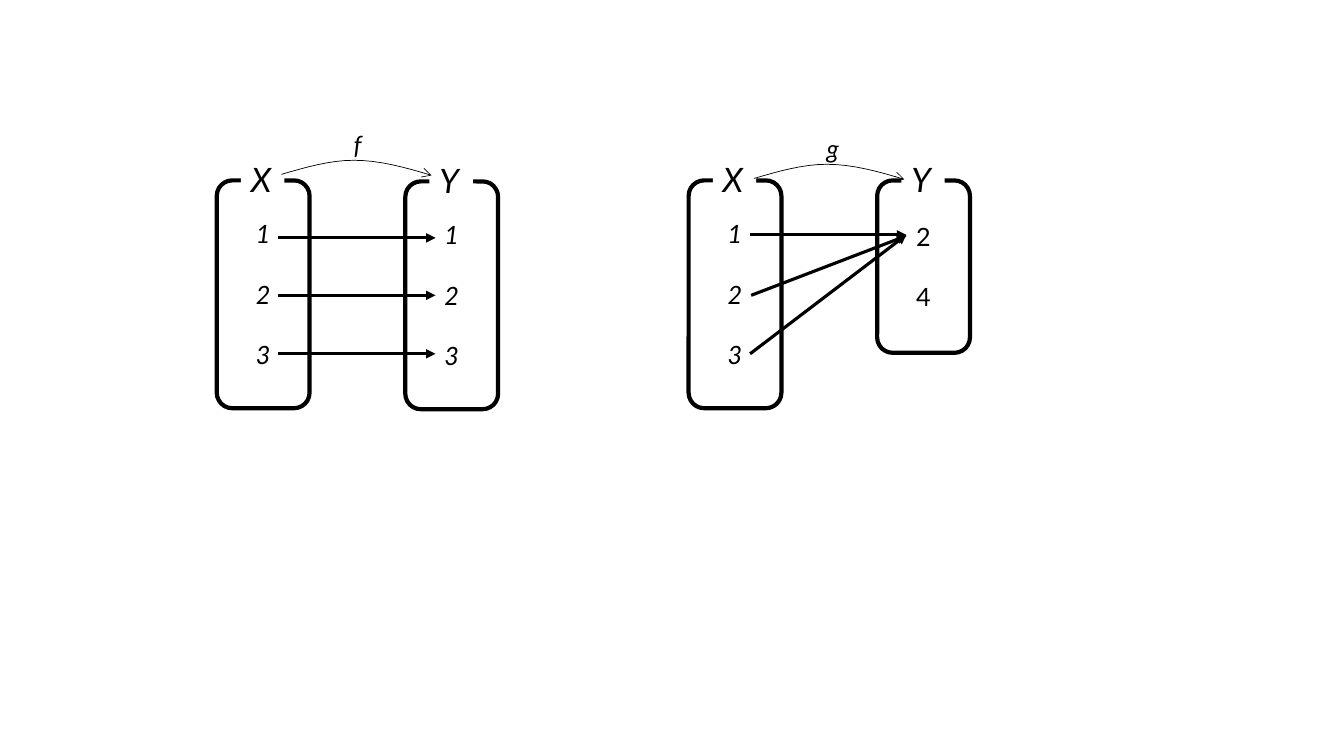
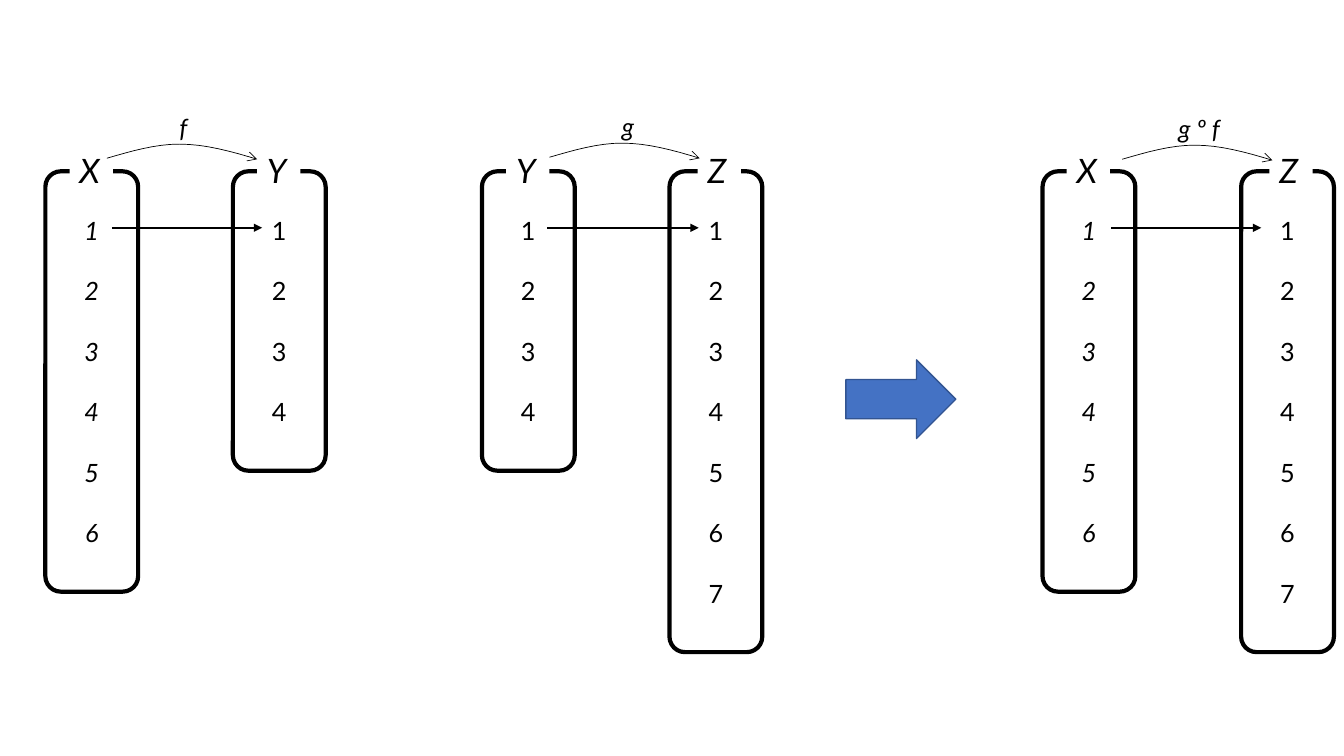
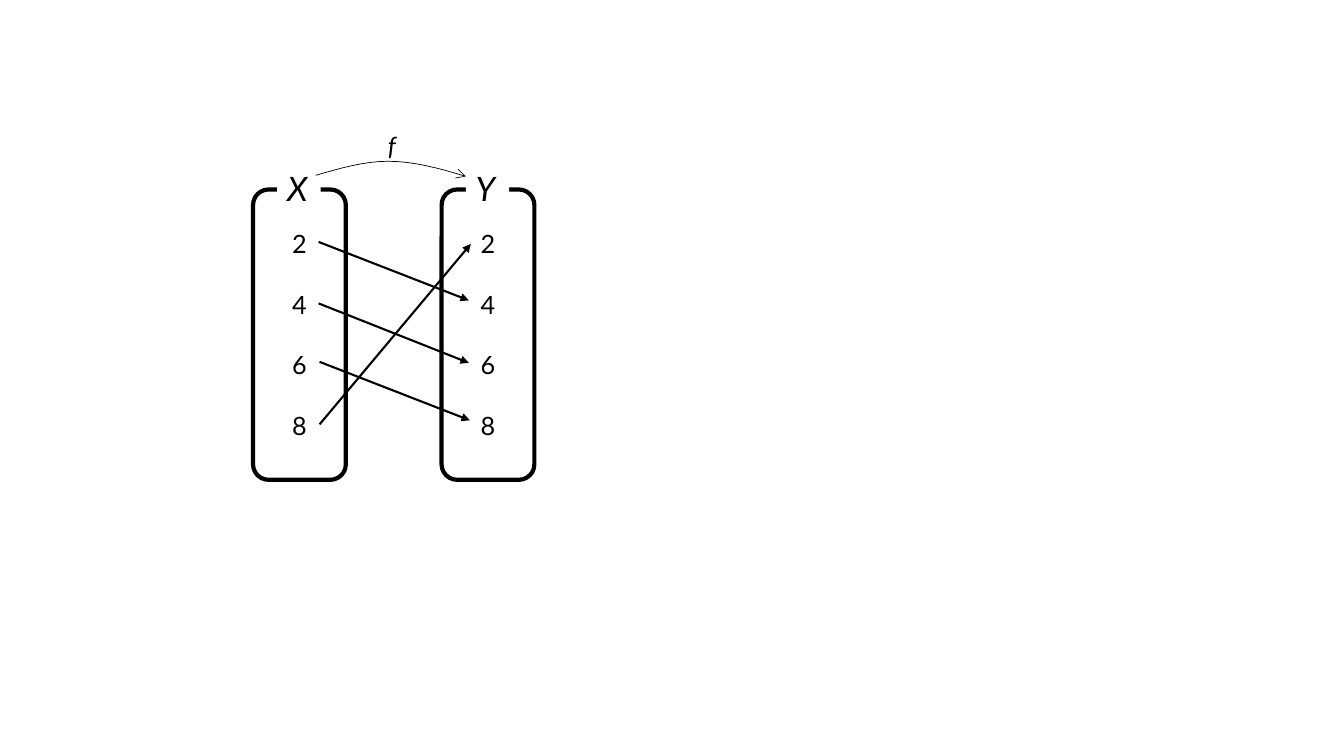
"""Build three slides of mapping diagrams between sets of numbers."""
from pptx import Presentation
from pptx import util as u
from pptx.dml.color import RGBColor
from pptx.enum import shapes, text
from pptx.oxml import ns
from lxml import etree

BLACK, WHITE, BLUE, DARK_BLUE = "000000", "FFFFFF", "4472C4", "325491"
FONT = "Lato"
SET_WIDTH = 0.92
CURVE_STEPS = 8
CURVE_PARTS = [
    [(0, 0.14), (0.24, 0.07), (0.48, 0), (0.72, 0)],
    [(0.72, 0), (0.97, 0), (1.23, 0.07), (1.49, 0.15)],
]


def write_text(shape, lines, size, italic, align, gap=0):
    """Fill a shape with one paragraph per line."""
    frame = shape.text_frame
    frame.word_wrap = True
    for index, line in enumerate(lines):
        paragraph = frame.add_paragraph() if index else frame.paragraphs[0]
        paragraph.text = line
        paragraph.alignment = align
        paragraph.space_before = u.Pt(gap if index else 0)
        paragraph.font.name = FONT
        paragraph.font.size = u.Pt(size)
        paragraph.font.italic = italic
        paragraph.font.color.rgb = RGBColor.from_string(BLACK)


def style_line(shape, colour, weight, head=None):
    """Set the outline of a shape, its arrowhead and no shadow."""
    shape.line.color.rgb = RGBColor.from_string(colour)
    shape.line.width = u.Pt(weight)
    properties = shape.element.spPr
    if head:
        outline = properties.find(ns.qn("a:ln"))
        etree.SubElement(outline, ns.qn("a:tailEnd"), type=head)
    etree.SubElement(properties, ns.qn("a:effectLst"))


diagrams = [
    {
        "sets": [
            ("X", 2.15, 1.79, 2.26, "123", True),
            ("Y", 4.02, 1.8, 2.26, "123", True),
            ("X", 6.83, 1.79, 2.26, "123", True),
            ("Y", 8.7, 1.79, 1.71, "24", False),
        ],
        "weight": 2.25,
        "arrows": [
            (2.76, 2.36, 4.32, 2.36),
            (2.76, 2.93, 4.32, 2.93),
            (2.76, 3.51, 4.32, 3.51),
            (7.44, 2.33, 8.99, 2.33),
            (7.45, 2.93, 8.99, 2.34),
            (7.44, 3.51, 8.99, 2.33),
        ],
        "functions": [("f", 2.79, 1.59, 0.37), ("g", 7.48, 1.63, 0.37)],
    },
    {
        "sets": [
            ("X", 0.45, 1.7, 4.17, "123456", True),
            ("Y", 2.31, 1.7, 2.97, "1234", False),
            ("Y", 4.78, 1.7, 2.97, "1234", False),
            ("Z", 6.64, 1.7, 4.77, "1234567", False),
            ("X", 10.34, 1.7, 4.17, "123456", True),
            ("Z", 12.31, 1.7, 4.77, "1234567", False),
        ],
        "weight": 1.5,
        "arrows": [
            (1.11, 2.26, 2.6, 2.26),
            (5.43, 2.26, 6.93, 2.26),
            (11.02, 2.26, 12.51, 2.26),
        ],
        "functions": [
            ("f", 1.06, 1.43, 0.37),
            ("g", 5.45, 1.42, 0.37),
            ("g º f", 11.13, 1.44, 0.86),
        ],
        "block_arrow": (8.39, 3.57, 1.09, 0.78),
    },
    {
        "sets": [
            ("X", 2.51, 1.88, 2.88, "2468", False),
            ("Y", 4.38, 1.88, 2.88, "2468", False),
        ],
        "weight": 1.5,
        "arrows": [
            (3.16, 2.4, 4.65, 2.98),
            (3.16, 3.01, 4.65, 3.6),
            (3.17, 3.59, 4.66, 4.17),
            (3.17, 4.21, 4.67, 2.42),
        ],
        "functions": [("f", 3.13, 1.6, 0.37)],
    },
]

curve = [CURVE_PARTS[0][0]]
for part in CURVE_PARTS:
    for step in range(1, CURVE_STEPS + 1):
        t = step / CURVE_STEPS
        weights = [(1 - t) ** 3, 3 * t * (1 - t) ** 2, 3 * t * t * (1 - t), t ** 3]
        curve.append(tuple(
            sum(weight * point[axis] for weight, point in zip(weights, part))
            for axis in (0, 1)
        ))

presentation = Presentation()
presentation.slide_width = u.Inches(13.33)
presentation.slide_height = u.Inches(7.5)

for diagram in diagrams:
    slide = presentation.slides.add_slide(presentation.slide_layouts[6])

    for name, left, top, height, numbers, italic in diagram["sets"]:
        outline = slide.shapes.add_shape(
            shapes.MSO_SHAPE.ROUNDED_RECTANGLE,
            u.Inches(left), u.Inches(top), u.Inches(SET_WIDTH), u.Inches(height))
        outline.fill.background()
        style_line(outline, BLACK, 3)
        write_text(outline, numbers, 18, italic, text.PP_ALIGN.CENTER, gap=21.6)

        indent = 0.28 if name == "Z" else 0.24
        label = slide.shapes.add_textbox(
            u.Inches(left + indent), u.Inches(top - 0.26), u.Inches(0.43), u.Inches(0.5))
        label.fill.solid()
        label.fill.fore_color.rgb = RGBColor.from_string(WHITE)
        write_text(label, [name], 24, True, text.PP_ALIGN.LEFT)

    for arrow_ends in diagram["arrows"]:
        arrow = slide.shapes.add_connector(
            shapes.MSO_CONNECTOR.STRAIGHT, *map(u.Inches, arrow_ends))
        style_line(arrow, BLACK, diagram["weight"], "triangle")

    for name, left, top, width in diagram["functions"]:
        group = slide.shapes.add_group_shape()
        points = [(u.Inches(left + x), u.Inches(top + y)) for x, y in curve]
        builder = group.shapes.build_freeform(*points[0])
        builder.add_line_segments(points[1:], close=False)
        bow = builder.convert_to_shape()
        bow.fill.background()
        style_line(bow, BLACK, 0.5, "arrow")

        indent = 0.62 if len(name) == 1 else 0.46
        label = group.shapes.add_textbox(
            u.Inches(left + indent), u.Inches(top - 0.36), u.Inches(width), u.Inches(0.4))
        write_text(label, [name], 18, True, text.PP_ALIGN.LEFT)

    if "block_arrow" in diagram:
        block_arrow = slide.shapes.add_shape(
            shapes.MSO_SHAPE.RIGHT_ARROW, *map(u.Inches, diagram["block_arrow"]))
        block_arrow.fill.solid()
        block_arrow.fill.fore_color.rgb = RGBColor.from_string(BLUE)
        style_line(block_arrow, DARK_BLUE, 1)

presentation.save("out.pptx")
